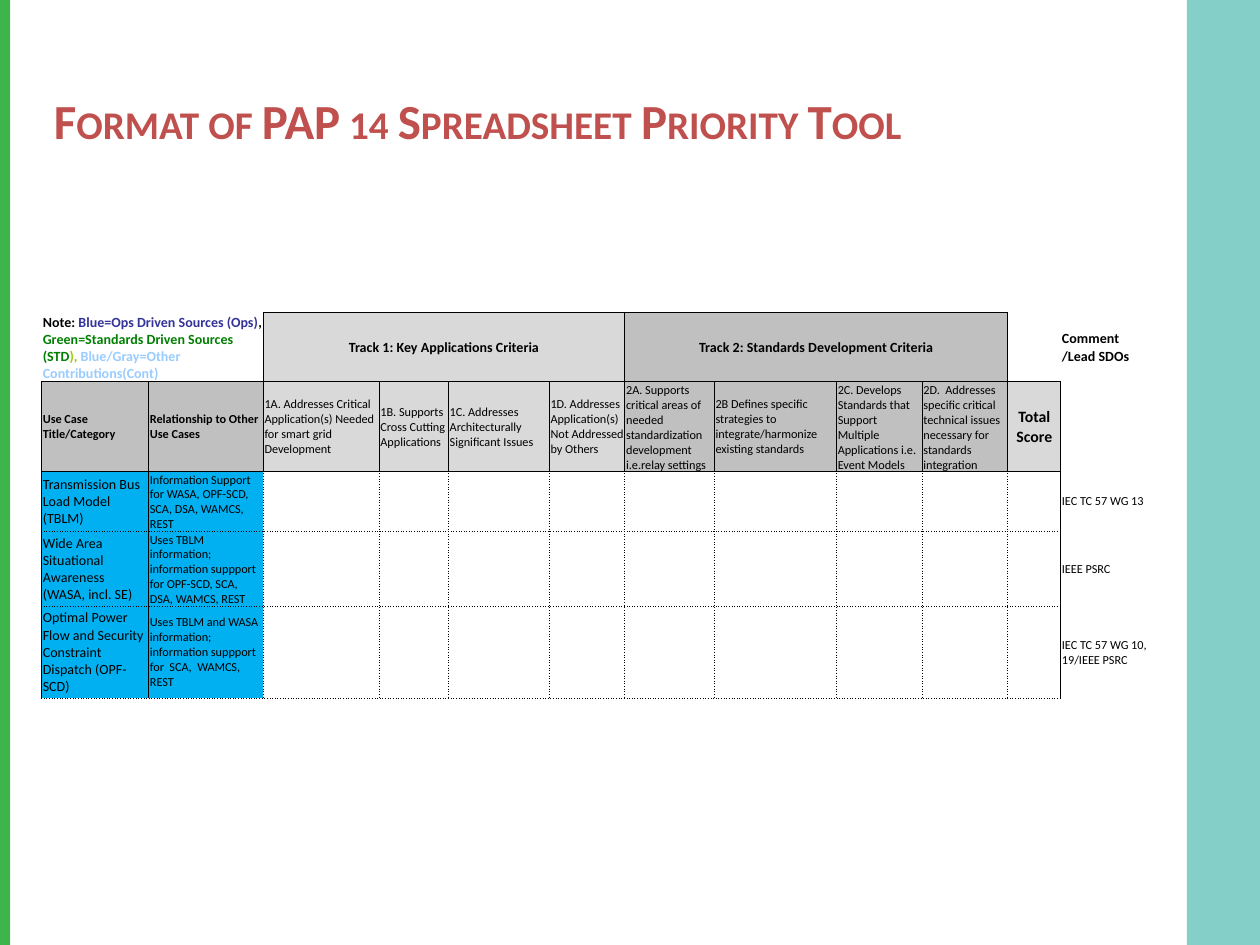
from dataclasses import dataclass

from pptx import Presentation
from pptx import util as u
from pptx.dml.color import RGBColor
from pptx.enum import shapes, text
from pptx.oxml import parse_xml
from pptx.oxml.ns import nsdecls


@dataclass(frozen=True)
class Theme:
    font: str = "Calibri"
    black: str = "000000"
    green: str = "3EB54A"
    teal: str = "84CFC8"
    red: str = "C0504D"
    light: str = "D9D9D9"
    gray: str = "C0C0C0"
    blue: str = "00B0F0"
    ops: str = "333399"
    std: str = "008000"
    lime: str = "99CC00"
    cont: str = "99CCFF"
    title: int = 28
    total: int = 9
    head: int = 8
    body: int = 7
    rule: float = 0.5


T = Theme()
NO_GRID = "{2D5ABB26-0587-4C30-8999-92F81FD0307C}"
SOLID, DOT = "solid", "sysDot"
WIDTHS = [0.85, 0.91, 0.92, 0.55, 0.8, 0.6, 0.71, 0.97, 0.68, 0.68, 0.42, 0.74]
HEIGHTS = [0.55, 0.71, 0.47, 0.59, 0.73]
TOTAL, NOTES = 10, 11  # the last two columns

LEGEND = [
    ("Note: ", T.black),
    ("Blue=Ops Driven Sources (Ops)", T.ops),
    (", ", T.black),
    ("Green=Standards Driven Sources (STD", T.std),
    ("),", T.lime),
    (" Blue/Gray=Other Contributions(Cont)", T.cont),
]
TRACKS = [
    (2, "Track 1: Key Applications Criteria", T.light),
    (6, "Track 2: Standards Development Criteria", T.gray),
]
HEADS = ["Use Case Title/Category", "Relationship to Other Use Cases"]
CRITERIA = [
    "1A. Addresses Critical Application(s) Needed for smart grid Development",
    "1B. Supports Cross Cutting Applications",
    "1C. Addresses Architecturally Significant Issues",
    "1D. Addresses Application(s) Not Addressed by Others",
    "2A. Supports critical areas of needed standardization development i.e.relay settings",
    "2B Defines specific strategies to integrate/harmonize existing standards",
    "2C. Develops Standards that Support Multiple Applications i.e. Event Models",
    "2D.  Addresses specific critical technical issues necessary for standards integration",
]
CASES = [
    ("Transmission Bus Load Model (TBLM)",
     "Information Support for WASA, OPF-SCD, SCA, DSA, WAMCS, REST",
     "IEC TC 57 WG 13"),
    ("Wide Area Situational Awareness (WASA, incl. SE)",
     "Uses TBLM information; information suppport for OPF-SCD, SCA, DSA, WAMCS, REST",
     "IEEE PSRC"),
    ("Optimal Power Flow and Security Constraint Dispatch (OPF-SCD)",
     "Uses TBLM and WASA information; information suppport for  SCA,  WAMCS, REST",
     "IEC TC 57 WG 10, 19/IEEE PSRC"),
]


def edges(row, col):
    """Line styles of a cell in the order left, right, top, bottom."""
    if col == NOTES:
        return (SOLID if row else None), None, None, None
    if row == 0:
        if col < 2:
            return None, SOLID, None, SOLID
        if col == TOTAL:
            return SOLID, None, None, SOLID
    if row < 2:
        return (SOLID,) * 4
    return (SOLID if col < 2 else DOT,
            SOLID if col in (0, TOTAL) else DOT,
            SOLID if row == 2 else DOT,
            DOT)


class Deck:
    def __init__(self, theme):
        self.theme = theme
        self.prs = Presentation()
        self.prs.slide_width = u.Inches(10)
        self.prs.slide_height = u.Inches(7.5)
        self.slide = self.prs.slides.add_slide(self.prs.slide_layouts[6])

    def style(self, run, size, color, bold):
        font = run.font
        font.name = self.theme.font
        font.size = u.Pt(size)
        font.bold = bold
        font.color.rgb = RGBColor.from_string(color)

    def band(self, left, width, color):
        bar = self.slide.shapes.add_shape(
            shapes.MSO_SHAPE.RECTANGLE, u.Inches(left), 0,
            u.Inches(width), self.prs.slide_height)
        bar.shadow.inherit = False
        bar.fill.solid()
        bar.fill.fore_color.rgb = RGBColor.from_string(color)
        bar.line.fill.background()

    def title(self, words):
        box = self.slide.shapes.add_textbox(
            u.Inches(0.33), u.Inches(0.58), u.Inches(8.83), u.Inches(0.75))
        frame = box.text_frame
        frame.word_wrap = True
        frame.vertical_anchor = text.MSO_ANCHOR.MIDDLE
        frame.text = words
        run = frame.paragraphs[0].runs[0]
        self.style(run, self.theme.title, self.theme.red, True)
        run.font._element.set("cap", "small")

    def table(self, left, top, widths, heights):
        """Add a plain table that has only its ruled lines."""
        frame = self.slide.shapes.add_table(
            len(heights), len(widths), u.Inches(left), u.Inches(top),
            u.Inches(sum(widths)), u.Inches(sum(heights)))
        grid = frame.table
        grid.first_row = grid.horz_banding = False
        grid._tbl.tblPr.find("{*}tableStyleId").text = NO_GRID
        for col, width in zip(grid.columns, widths):
            col.width = u.Inches(width)
        for row, height in zip(grid.rows, heights):
            row.height = u.Inches(height)
        for r in range(len(heights)):
            for c in range(len(widths)):
                cell = grid.cell(r, c)
                self.border(cell, edges(r, c))
                cell.fill.background()
                cell.margin_left = cell.margin_right = u.Inches(0.01)
                cell.margin_top, cell.margin_bottom = u.Inches(0.01), 0
                cell.vertical_anchor = text.MSO_ANCHOR.MIDDLE
        return grid

    def border(self, cell, kinds):
        props = cell._tc.get_or_add_tcPr()
        for side, kind in zip("LRTB", kinds):
            paint = "<a:noFill/>"
            if kind:
                paint = (f'<a:solidFill><a:srgbClr val="{self.theme.black}"/>'
                         f'</a:solidFill><a:prstDash val="{kind}"/>')
            props.append(parse_xml(
                f'<a:ln{side} {nsdecls("a")} w="{u.Pt(self.theme.rule)}">'
                f'{paint}</a:ln{side}>'))

    def label(self, cell, parts, size, bold=False, fill=None, center=False):
        """Fill a cell with one text, or with (text, colour) parts."""
        if isinstance(parts, str):
            parts = [(parts, self.theme.black)]
        para = cell.text_frame.paragraphs[0]
        if center:
            para.alignment = text.PP_ALIGN.CENTER
        for words, color in parts:
            run = para.add_run()
            run.text = words
            self.style(run, size, color, bold)
        if fill:
            cell.fill.solid()
            cell.fill.fore_color.rgb = RGBColor.from_string(fill)


def main():
    deck = Deck(T)
    deck.band(0, 0.08, T.green)
    deck.band(9.42, 0.58, T.teal)
    deck.title("Format of PAP 14 Spreadsheet Priority Tool")

    grid = deck.table(0.33, 2.48, WIDTHS, HEIGHTS)
    cell = grid.cell
    cell(0, 0).merge(cell(0, 1))
    deck.label(cell(0, 0), LEGEND, T.head, True)
    for col, name, fill in TRACKS:
        cell(0, col).merge(cell(0, col + 3))
        deck.label(cell(0, col), name, T.head, True, fill, True)
    deck.label(cell(0, NOTES), "Comment /Lead SDOs", T.head, True)

    for col, name in enumerate(HEADS):
        deck.label(cell(1, col), name, T.body, True, T.gray)
    for col, name in enumerate(CRITERIA, 2):
        deck.label(cell(1, col), name, T.body, False,
                   T.light if col < 6 else T.gray)
    deck.label(cell(1, TOTAL), "Total Score", T.total, True, T.light, True)

    for row, (case, link, note) in enumerate(CASES, 2):
        deck.label(cell(row, 0), case, T.head, False, T.blue)
        deck.label(cell(row, 1), link, T.body, False, T.blue)
        deck.label(cell(row, NOTES), note, T.body)
    deck.prs.save("out.pptx")


if __name__ == "__main__":
    main()
